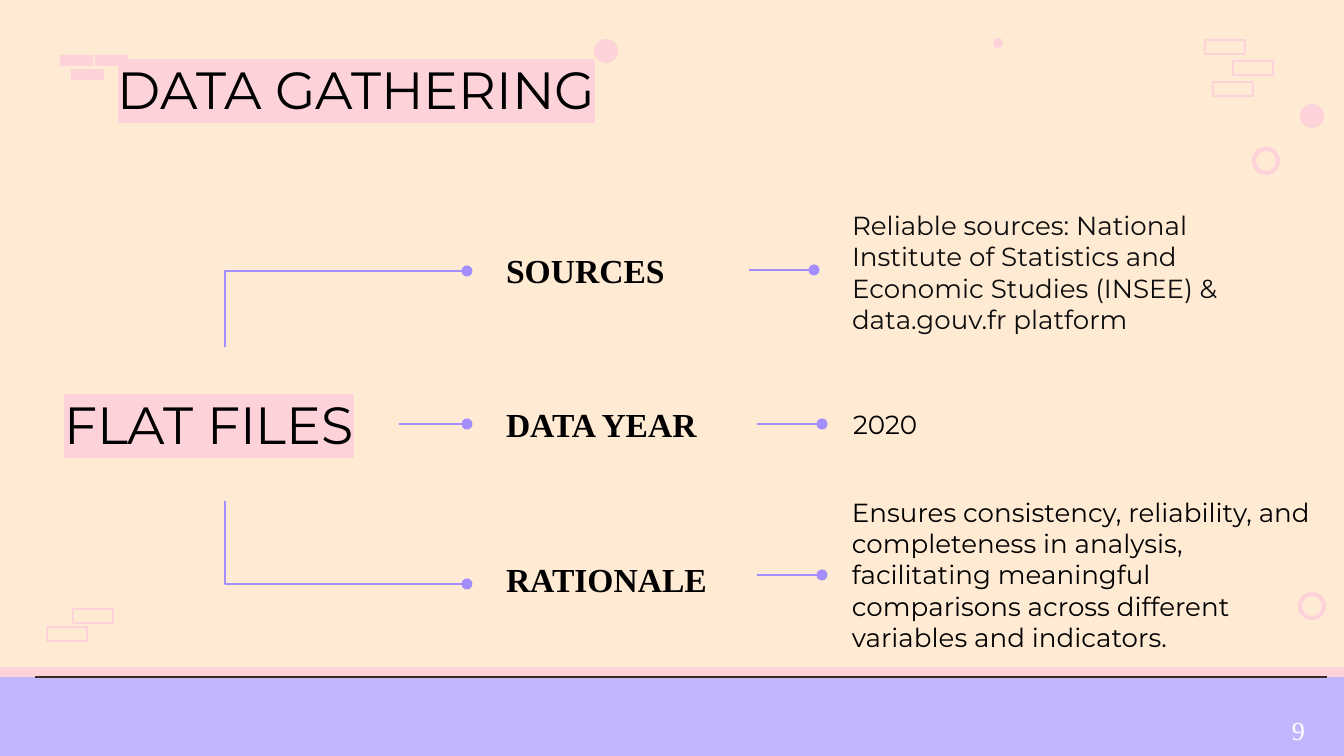
from lxml import etree
from pptx import Presentation
from pptx.dml.color import RGBColor
from pptx.enum.shapes import MSO_CONNECTOR, MSO_SHAPE
from pptx.enum.text import MSO_ANCHOR
from pptx.oxml.ns import qn
from pptx.util import Emu, Pt

RECTANGLE = MSO_SHAPE.RECTANGLE
OVAL = MSO_SHAPE.OVAL
STRAIGHT = MSO_CONNECTOR.STRAIGHT
ELBOW = MSO_CONNECTOR.ELBOW
MIDDLE = MSO_ANCHOR.MIDDLE

CREAM = RGBColor(0xFF, 0xEA, 0xD3)
PINK = RGBColor(0xFD, 0xD3, 0xD9)
LAVENDER = RGBColor(0xC4, 0xB6, 0xFE)
VIOLET = RGBColor(0xA4, 0x8E, 0xFD)
BROWN = RGBColor(0x38, 0x2B, 0x26)
BLACK = RGBColor(0x00, 0x00, 0x00)
CHARCOAL = RGBColor(0x0D, 0x0D, 0x0D)
WHITE = RGBColor(0xFF, 0xFF, 0xFF)

SANS = "Montserrat"
SERIF = "Times New Roman"
PX = 914400 / 134.4

deck = Presentation()
deck.slide_width = Emu(round(1344 * PX))
deck.slide_height = Emu(round(756 * PX))
page = deck.slides.add_slide(deck.slide_layouts[6])
page.background.fill.solid()
page.background.fill.fore_color.rgb = LAVENDER

decorations = [
    (RECTANGLE, 0, 0, 1344, 677, CREAM, 0),
    (RECTANGLE, 0, 667, 1344, 10, PINK, 0),
    (OVAL, 993, 38, 10, 10, PINK, 0),
    (OVAL, 1300, 104, 24, 24, PINK, 0),
    (OVAL, 594, 39, 24, 24, PINK, 0),
    (OVAL, 1300, 594, 24, 24, PINK, 2.25),
    (OVAL, 1254, 149, 24, 24, PINK, 2.25),
]
for left, top in [(71, 69), (60, 55), (95, 55)]:
    decorations.append((RECTANGLE, left, top, 33, 11, PINK, 0))
for left, top in [(1233, 61), (1205, 40), (1213, 82), (73, 609), (47, 627)]:
    decorations.append((RECTANGLE, left, top, 40, 14, PINK, 1.25))

for kind, left, top, width, height, color, outline in decorations:
    shape = page.shapes.add_shape(kind, *[Emu(round(n * PX)) for n in (left, top, width, height)])
    shape.shadow.inherit = False
    if outline:
        shape.fill.background()
        shape.line.color.rgb = color
        shape.line.width = Pt(outline)
    else:
        shape.fill.solid()
        shape.fill.fore_color.rgb = color
        shape.line.fill.background()


def add_text(left, top, width, height, text, size, font, color, bold=False, highlight=None):
    box = page.shapes.add_textbox(*[Emu(round(n * PX)) for n in (left, top, width, height)])
    frame = box.text_frame
    frame.word_wrap = True
    frame.vertical_anchor = MIDDLE
    frame.margin_left = frame.margin_right = Emu(round(13 * PX))
    frame.margin_top = frame.margin_bottom = Emu(0)
    para = frame.paragraphs[0]
    span = para.add_run()
    span.text = text
    span.font.size = Pt(size)
    span.font.bold = bold
    span.font.color.rgb = color
    if highlight:
        mark = etree.SubElement(span.font._element, qn("a:highlight"))
        etree.SubElement(mark, qn("a:srgbClr"), val=str(highlight))
    span.font.name = font
    return box


def add_line(kind, x1, y1, x2, y2, color, dot=None):
    line = page.shapes.add_connector(kind, *[Emu(round(n * PX)) for n in (x1, y1, x2, y2)])
    line.line.color.rgb = color
    line.line.width = Pt(0.75)
    if dot:
        etree.SubElement(line.line._get_or_add_ln(), qn(dot), type="oval")
    etree.SubElement(line._element.spPr, qn("a:effectLst"))
    return line


add_line(STRAIGHT, 35, 677, 1327, 677, BROWN)
add_text(105, 59, 1133, 60, "DATA GATHERING", 28, SANS, BLACK, highlight=PINK)
topic = add_text(51, 347, 348, 154, "FLAT FILES", 28, SANS, BLACK, highlight=PINK)

for top, label in [(237, "SOURCES"), (391, "DATA YEAR"), (546, "RATIONALE")]:
    add_text(493, top, 297, 66, label, 18, SERIF, BLACK, bold=True)

details = [
    (839, 204, 415, 136, CHARCOAL, "Reliable sources: National Institute of Statistics and "
     "Economic Studies (INSEE) & data.gouv.fr platform"),
    (840, 356, 415, 136, BLACK, "2020"),
    (839, 488, 485, 173, BLACK, "Ensures consistency, reliability, and completeness in analysis, "
     "facilitating meaningful comparisons across different variables and indicators."),
]
for left, top, width, height, color, text in details:
    add_text(left, top, width, height, text, 14, SANS, color)

for branch_y, topic_y, side in [(271, 347, 0), (584, 501, 2)]:
    branch = add_line(ELBOW, 467, branch_y, 225, topic_y, VIOLET, "a:headEnd")
    branch._element.spPr.find(qn("a:prstGeom")).set("prst", "bentConnector2")
    branch.end_connect(topic, side)

stem = add_line(STRAIGHT, 399, 424, 467, 424, VIOLET, "a:tailEnd")
stem.begin_connect(topic, 3)
for left, y in [(749, 270), (757, 424), (757, 575)]:
    add_line(STRAIGHT, left, y, left + 65, y, VIOLET, "a:tailEnd")

add_text(1279, 707, 45, 46, "9", 14, SERIF, WHITE)

deck.save("out.pptx")
